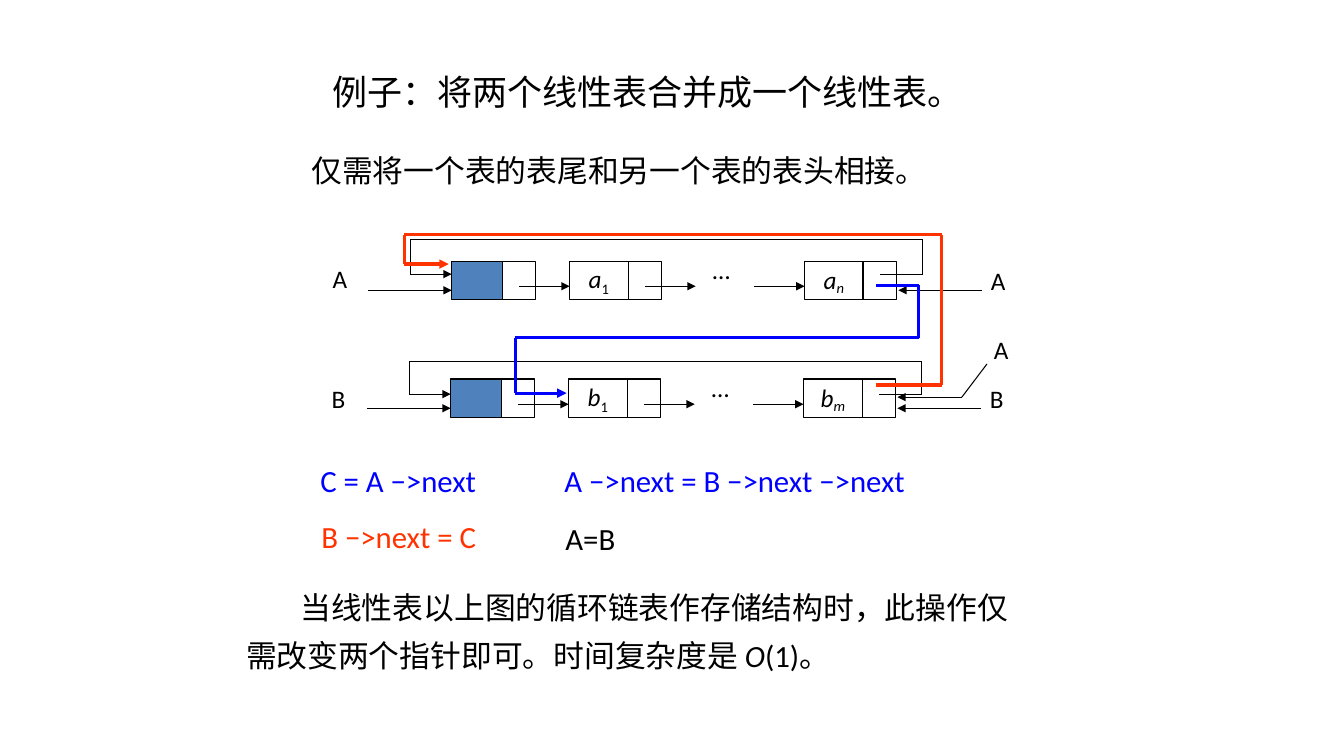
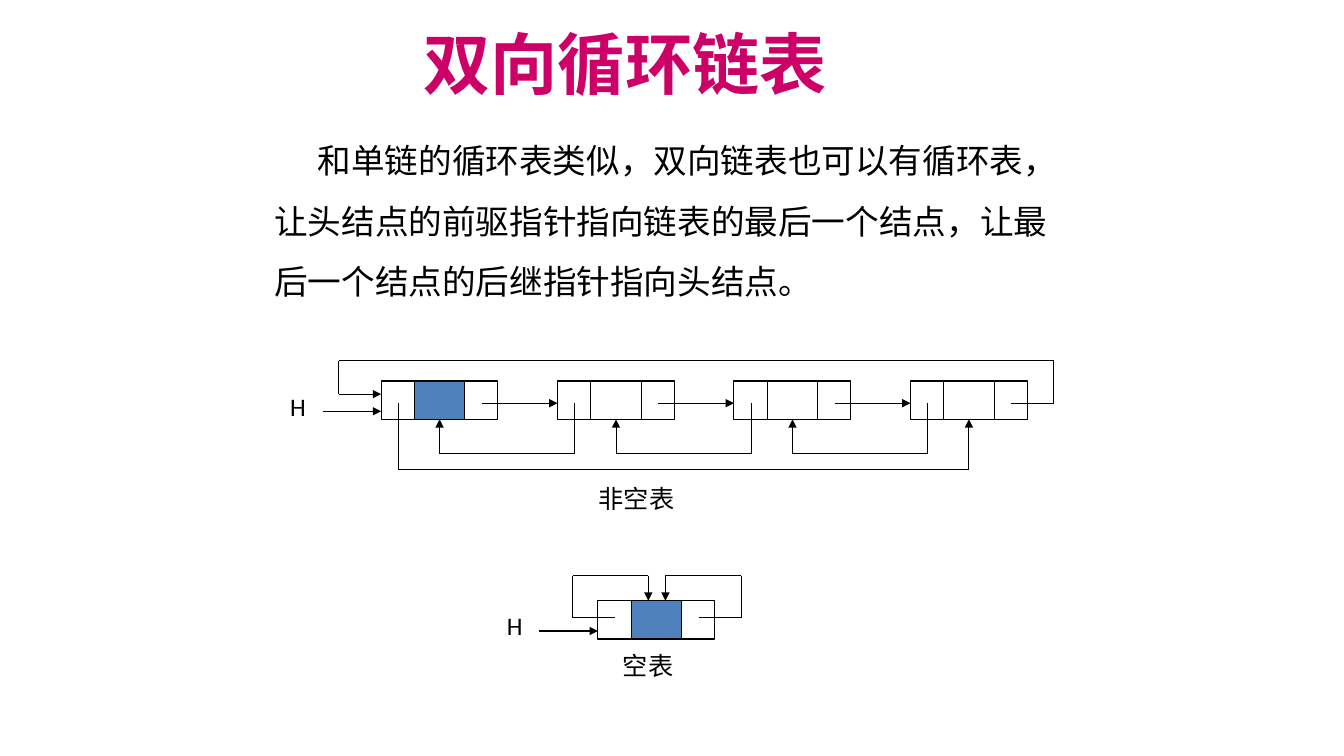
"""Build two slides on circular linked lists: merging two lists, and doubly linked rings."""
from itertools import pairwise

from lxml.etree import SubElement
from pptx import Presentation
from pptx.dml.color import RGBColor
from pptx.enum.shapes import MSO_CONNECTOR, MSO_SHAPE
from pptx.enum.text import MSO_ANCHOR, MSO_AUTO_SIZE, PP_ALIGN
from pptx.oxml.ns import qn
from pptx.util import Inches, Pt

BLACK = RGBColor(0x00, 0x00, 0x00)
HEAD_BLUE = RGBColor(0x4F, 0x81, 0xBD)
BLUE = RGBColor(0x00, 0x00, 0xFF)
RED = RGBColor(0xFF, 0x33, 0x00)
MAGENTA = RGBColor(0xCC, 0x00, 0x66)

FONT = "Calibri"
THIN, THICK = 0.75, 2.25
POINTER, DATA, CELL_H = 0.33, 0.5, 0.38
NODE = 0.58
RING_STEP = 1.75

MERGE = {
    "title": ("例子：将两个线性表合并成一个线性表。", (3.2, 0.52, 6.59, 0.6),
              {"size": Pt(25)}, 1.3),
    "body": ([["当线性表以上图的循环链表作存储结构时，此操作仅"],
              ["需改变两个指针即可。时间复杂度是 ", ("O", {"italic": True}), "(1)。"]],
             (2.34, 5.68, 7.93, 1.02), 22, 1.3, 0.54),
}
RING = {
    "title": ("双向循环链表", (4.1, 0.17, 4.26, 0.91),
              {"size": Pt(48), "bold": True, "color": MAGENTA}, 1),
    "body": ([["和单链的循环表类似，双向链表也可以有循环表，"],
              ["让头结点的前驱指针指向链表的最后一个结点，让最"],
              ["后一个结点的后继指针指向头结点。"]],
             (2.62, 1.14, 8.3, 1.9), 24, 1.5, 0.43),
}
MERGE_LABELS = [
    ("仅需将一个表的表尾和另一个表的表头相接。", (2.99, 1.46, 7.15, 0.47), 22, BLACK),
    ("C = A −>next", (3.08, 4.53, 1.87, 0.47), 22, BLUE),
    ("A −>next = B −>next −>next", (5.5, 4.53, 3.79, 0.47), 22, BLUE),
    ("B −>next = C", (3.09, 5.09, 1.86, 0.47), 22, RED),
    ("A=B", (5.51, 5.11, 0.76, 0.47), 22, BLACK),
    ("A", (3.2, 2.56, 0.4, 0.4), 18, BLACK),
    ("B", (3.19, 3.75, 0.4, 0.4), 18, BLACK),
    ("A", (9.73, 2.58, 0.4, 0.4), 18, BLACK),
    ("A", (9.76, 3.27, 0.4, 0.4), 18, BLACK),
    ("B", (9.72, 3.75, 0.4, 0.4), 18, BLACK),
]
RING_LABELS = [
    ("H", (2.78, 3.83, 0.67, 0.4), 18, BLACK),
    ("非空表", (5.84, 4.75, 1.83, 0.4), 18, BLACK),
    ("H", (4.93, 6.01, 0.67, 0.4), 18, BLACK),
    ("空表", (6.08, 6.4, 1.08, 0.4), 18, BLACK),
]
CHAINS = [
    {"name": "a", "last": "n", "x": 4.48, "y": 2.59, "top": -0.21, "loop": 0.13},
    {"name": "b", "last": "m", "x": 4.47, "y": 3.76, "top": -0.17, "loop": 0.15},
]
MERGE_ROUTES = [
    ([(8.69, 3.82), (9.34, 3.82), (9.34, 2.33), (4.01, 2.33), (4.01, 2.62), (4.45, 2.62)],
     RED, THICK),
    ([(8.69, 2.83), (9.11, 2.83), (9.11, 3.35), (5.11, 3.35), (5.11, 3.9), (5.62, 3.9)],
     BLUE, THICK),
    ([(9.79, 3.61), (9.54, 3.94), (8.9, 3.94)], BLACK, THIN),
]


def set_font(r, **values):
    """Apply font values to a run."""
    color = values.pop("color", BLACK)
    for key, value in {"name": FONT, **values}.items():
        setattr(r.font, key, value)
    r.font.color.rgb = color


def place(sp, box):
    """Move a shape to a box in inches and prepare its text frame."""
    for key, value in zip(("left", "top", "width", "height"), box):
        setattr(sp, key, Inches(value))
    tf = sp.text_frame
    for key, value in {"word_wrap": True, "auto_size": MSO_AUTO_SIZE.NONE,
                       "vertical_anchor": MSO_ANCHOR.TOP}.items():
        setattr(tf, key, value)
    return tf


def add_slide(prs, content):
    """Add a slide with its title and body text."""
    s = prs.slides.add_slide(prs.slide_layouts[1])
    text, box, font, spacing = content["title"]
    p = place(s.shapes.title, box).paragraphs[0]
    p.alignment, p.line_spacing = PP_ALIGN.LEFT, spacing
    r = p.add_run()
    r.text = text
    set_font(r, **font)

    lines, box, size, spacing, indent = content["body"]
    tf = place(s.placeholders[1], box)
    for i, line in enumerate(lines):
        p = tf.add_paragraph() if i else tf.paragraphs[0]
        pPr = p._p.get_or_add_pPr()
        pPr.set("marL", "0")
        pPr.set("indent", str(0 if i else Inches(indent)))
        SubElement(pPr, qn("a:buNone"))
        p.line_spacing, p.space_before = spacing, Pt(0)
        for part in line:
            words, extra = part if isinstance(part, tuple) else (part, {})
            r = p.add_run()
            r.text = words
            set_font(r, size=Pt(size), **extra)
    return s


def add_label(s, text, box, size, color):
    """Add a line of text."""
    sp = s.shapes.add_textbox(0, 0, 0, 0)
    r = place(sp, box).paragraphs[0].add_run()
    r.text = text
    set_font(r, size=Pt(size), color=color)


def add_cell(s, x, y, width, fill=None, name=None, index=None):
    """Add one cell of a node, with an optional subscripted name."""
    sp = s.shapes.add_shape(MSO_SHAPE.RECTANGLE, *map(Inches, (x, y, width, CELL_H)))
    sp.shadow.inherit = False
    sp.line.color.rgb, sp.line.width = BLACK, Pt(THIN)
    if fill:
        sp.fill.solid()
        sp.fill.fore_color.rgb = fill
    else:
        sp.fill.background()
    if name:
        tf = sp.text_frame
        for side in ("left", "right", "top", "bottom"):
            setattr(tf, f"margin_{side}", 0)
        tf.word_wrap, tf.vertical_anchor = False, MSO_ANCHOR.MIDDLE
        p = tf.paragraphs[0]
        p.alignment = PP_ALIGN.CENTER
        digit = index.isdigit()
        for text, italic, base in ((name, True, 0), (index, not digit, -25 if digit else -14)):
            r = p.add_run()
            r.text = text
            set_font(r, size=Pt(18), italic=italic)
            if base:
                r.font._element.set("baseline", str(base * 1000))
    return sp


def add_route(s, points, color=BLACK, width=THIN, target=None):
    """Draw straight segments through points, with an arrowhead at the end."""
    for start, end in pairwise(points):
        c = s.shapes.add_connector(MSO_CONNECTOR.STRAIGHT, *map(Inches, start + end))
        c.line.color.rgb, c.line.width = color, Pt(width)
        SubElement(c._element.spPr, qn("a:effectLst"))
    SubElement(c.line._get_or_add_ln(), qn("a:tailEnd"), type="triangle")
    if target:
        c.end_connect(target, 2)


def add_chain(s, chain):
    """Draw a singly linked ring with its entry pointers."""
    x, y = chain["x"], chain["y"]
    first, last = x + 1.17, x + 3.5
    add_cell(s, x, y, DATA, HEAD_BLUE)
    add_cell(s, first, y, NODE, name=chain["name"], index="1")
    add_cell(s, last, y, NODE, name=chain["name"], index=chain["last"])
    for left in (x + DATA, first + NODE, last + NODE):
        add_cell(s, left, y, POINTER)
    for left in (x + 0.67, x + 1.92, x + 3):
        add_route(s, [(left, y + 0.25), (left + 0.5, y + 0.25)])
    add_label(s, "…", (x + 2.49, y - 0.12, 0.68, 0.4), 18, BLACK)
    top, loop = y + chain["top"], y + chain["loop"]
    left, right = x - 0.41, x + 4.67
    add_route(s, [(x + 4.25, loop), (right, loop), (right, top), (left, top),
                  (left, loop), (x, loop)])
    for start, end in ((x - 0.83, x), (x + 5.26, x + 4.43)):
        add_route(s, [(start, y + 0.29), (end, y + 0.29)])


def add_double_node(s, x, y, fill=None):
    """Draw a node with two pointers and return its data cell."""
    add_cell(s, x, y, POINTER)
    add_cell(s, x + POINTER + DATA, y, POINTER)
    return add_cell(s, x + POINTER, y, DATA, fill)


def add_ring(s, x, y, count):
    """Draw a doubly linked ring of several nodes."""
    lefts = [x + RING_STEP * i for i in range(count)]
    cells = [add_double_node(s, left, y, None if i else HEAD_BLUE)
             for i, left in enumerate(lefts)]
    mid, bottom = y + 0.22, y + CELL_H
    centre = POINTER + DATA / 2
    for cell, (left, right) in zip(cells, pairwise(lefts)):
        add_route(s, [(left + 1, mid), (right, mid)])
        add_route(s, [(right + 0.17, mid), (right + 0.17, y + 0.72),
                      (left + centre, y + 0.72), (left + centre, bottom)], target=cell)
    end = lefts[-1]
    add_route(s, [(x + 0.17, mid), (x + 0.17, y + 0.88), (end + centre, y + 0.88),
                  (end + centre, bottom)], target=cells[-1])
    add_route(s, [(end + 1, mid), (end + 1.42, mid), (end + 1.42, y - 0.2),
                  (x - 0.42, y - 0.2), (x - 0.42, y + 0.13), (x, y + 0.13)])
    add_route(s, [(x - 0.58, y + 0.3), (x, y + 0.3)])


def add_empty_ring(s, x, y):
    """Draw a doubly linked ring holding only its head node."""
    add_double_node(s, x, y, HEAD_BLUE)
    mid, top = y + 0.17, y - 0.25
    for start, side, end in ((0.17, -0.25, 0.5), (1, 1.42, 0.67)):
        add_route(s, [(x + start, mid), (x + side, mid), (x + side, top),
                      (x + end, top), (x + end, y)])
    add_route(s, [(x - 0.58, y + 0.3), (x, y + 0.3)])


def main():
    """Build and save the presentation."""
    prs = Presentation()
    prs.slide_width, prs.slide_height = Inches(13.33), Inches(7.5)

    s = add_slide(prs, MERGE)
    for label in MERGE_LABELS:
        add_label(s, *label)
    for chain in CHAINS:
        add_chain(s, chain)
    for route in MERGE_ROUTES:
        add_route(s, *route)

    s = add_slide(prs, RING)
    for label in RING_LABELS:
        add_label(s, *label)
    add_ring(s, 3.78, 3.78, 4)
    add_empty_ring(s, 5.93, 5.96)

    prs.save("out.pptx")


if __name__ == "__main__":
    main()
